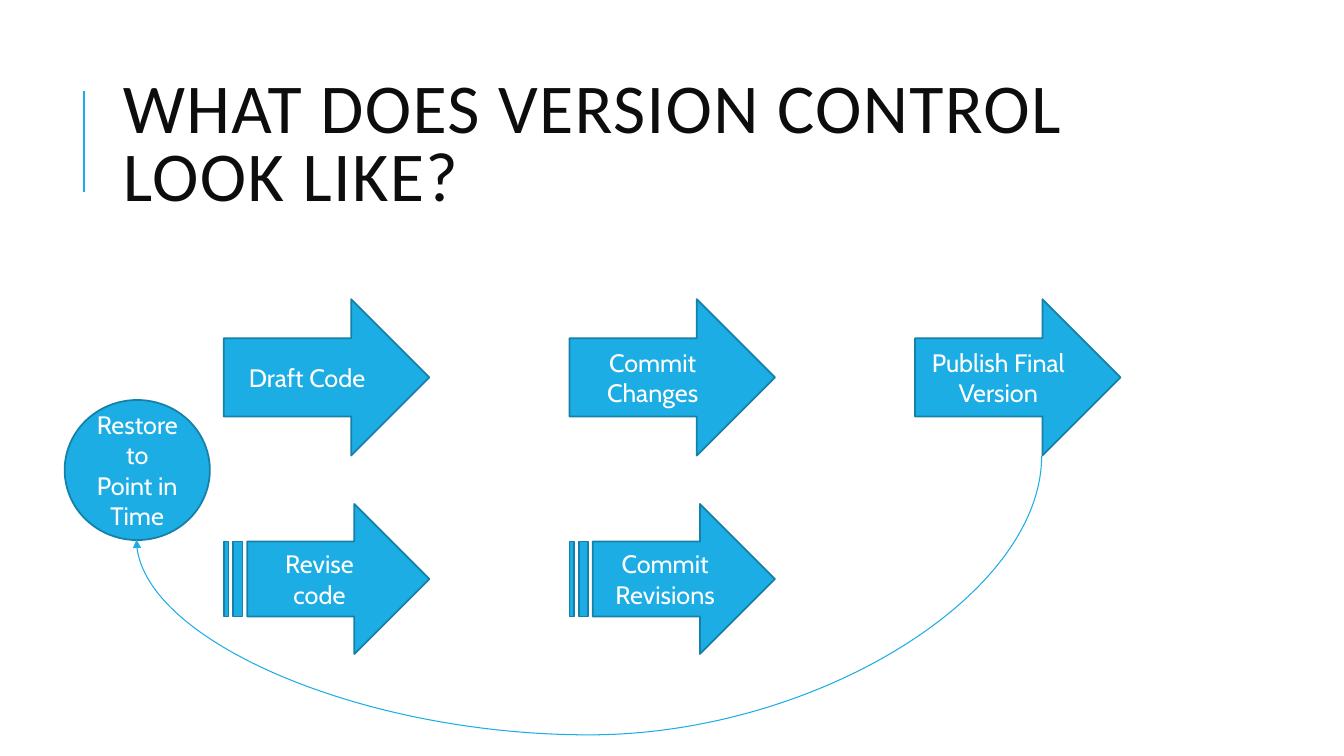
import pptx
import pptx.util
import pptx.dml.color
import pptx.enum.shapes
import pptx.enum.text
import pptx.oxml
import pptx.oxml.ns

Cm, Pt = pptx.util.Cm, pptx.util.Pt
MSO = pptx.enum.shapes.MSO_SHAPE
CONNECTOR = pptx.enum.shapes.MSO_CONNECTOR
ALIGN = pptx.enum.text.PP_ALIGN
BLUE, DARK_BLUE = "1CADE4", "1580A9"
NS = pptx.oxml.ns.nsdecls("a")


def paint(color_format, hex_color):
    color_format.rgb = pptx.dml.color.RGBColor.from_string(hex_color)


def write(sp, text, font="Cabin", size=18, color="FFFFFF", align=ALIGN.CENTER, spacing=None):
    tf = sp.text_frame
    tf.word_wrap = True
    tf.auto_size = pptx.enum.text.MSO_AUTO_SIZE.NONE
    tf.vertical_anchor = pptx.enum.text.MSO_ANCHOR.MIDDLE
    p = tf.paragraphs[0]
    p.alignment = align
    p.line_spacing = spacing
    r = p.add_run()
    r.text = text
    r.font.name = font
    r.font.size = Pt(size)
    paint(r.font.color, color)
    return r


prs = pptx.Presentation()
prs.slide_width, prs.slide_height = Cm(33.87), Cm(19.05)
s = prs.slides.add_slide(prs.slide_layouts[5])

# Title
title = s.shapes.title
title.left, title.top, title.width, title.height = Cm(2.84), Cm(1.63), Cm(27), Cm(4.17)
r = write(title, "WHAT DOES VERSION CONTROL LOOK LIKE?", font="Calibri", size=50,
          color="0D0D0D", align=ALIGN.LEFT, spacing=0.8)
r.font._element.set("spc", "100")

# Workflow steps: three columns of arrows and the restore point
column_x = [5.64 + 8.71 * i for i in range(3)]
rows = [
    (MSO.RIGHT_ARROW, 7.54, 3.94, ["Draft Code", "Commit Changes", "Publish Final Version"]),
    (MSO.STRIPED_RIGHT_ARROW, 12.7, 3.78, ["Revise code", "Commit Revisions"]),
]
steps = [(kind, x, y, 5.18, h, text)
         for kind, y, h, texts in rows for x, text in zip(column_x, texts)]
steps.append((MSO.FLOWCHART_CONNECTOR, 1.63, 10.08, 3.66, 3.53, "Restore to Point in Time"))
for kind, x, y, w, h, text in steps:
    sp = s.shapes.add_shape(kind, Cm(x), Cm(y), Cm(w), Cm(h))
    sp.shadow.inherit = False
    sp.fill.solid()
    paint(sp.fill.fore_color, BLUE)
    paint(sp.line.color, DARK_BLUE)
    sp.line.width = Pt(1.25)
    write(sp, text)

# Title rule, and the curve from the final version back to the restore point
rule = s.shapes.add_connector(CONNECTOR.STRAIGHT, Cm(2.11), Cm(4.83), Cm(2.11), Cm(2.29))
loop = s.shapes.add_connector(CONNECTOR.CURVE, Cm(13.79), Cm(1.14), Cm(15.9), Cm(23.95))
for line, width in [(rule, 1.5), (loop, 0.75)]:
    paint(line.line.color, BLUE)
    line.line.width = Pt(width)
    line._element.spPr.append(pptx.oxml.parse_xml(f"<a:effectLst {NS}/>"))

# The curve is turned a quarter and bulges below both of its ends
spPr = loop._element.spPr
spPr.find(pptx.oxml.ns.qn("a:xfrm")).set("rot", "5400000")
geom = spPr.find(pptx.oxml.ns.qn("a:prstGeom"))
for guides in list(geom):
    geom.remove(guides)
geom.append(pptx.oxml.parse_xml(
    f'<a:avLst {NS}><a:gd name="adj1" fmla="val 333100"/></a:avLst>'))
spPr.find(pptx.oxml.ns.qn("a:ln")).append(
    pptx.oxml.parse_xml(f'<a:tailEnd {NS} type="triangle"/>'))

prs.save("out.pptx")
